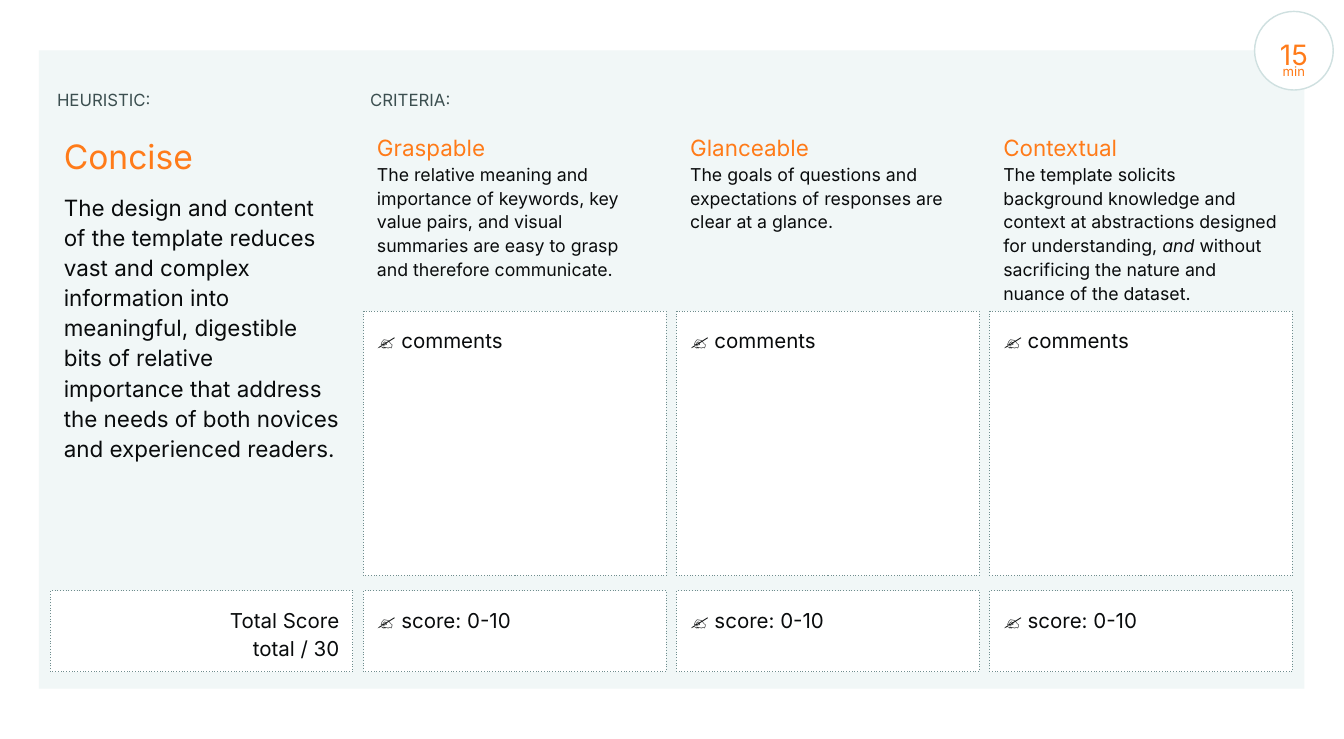
import pptx
import pptx.util
from pptx.dml.color import RGBColor
from pptx.enum.dml import MSO_LINE
from pptx.enum.shapes import MSO_SHAPE
from pptx.enum.text import MSO_ANCHOR, PP_ALIGN
from pptx.oxml.ns import qn

WHITE = RGBColor(0xFF, 0xFF, 0xFF)
PANEL = RGBColor(0xF1, 0xF7, 0xF7)
BORDER = RGBColor(0x6F, 0x8D, 0x8E)
RING = RGBColor(0xCF, 0xE0, 0xE0)
ORANGE = RGBColor(0xFF, 0x7B, 0x19)
INK = RGBColor(0x09, 0x0B, 0x0C)
LABEL = RGBColor(0x3C, 0x4F, 0x50)

# Grid: four columns, and rows by their tops and heights
COLS = [0.75 + 4.66 * i for i in range(4)]
COL_W = 4.5
LABEL_TOP, LABEL_H = 1.24, 0.5
TEXT_TOP = 1.75
COMMENT_TOP, COMMENT_H = 4.63, 3.94
SCORE_TOP, SCORE_H = 8.79, 1.21

prs = pptx.Presentation()
prs.slide_width = pptx.util.Inches(20)
prs.slide_height = pptx.util.Inches(11)
slide = prs.slides.add_slide(prs.slide_layouts[6])


def add_box(x, y, w, h, shape=None, fill=WHITE, line=None, width=0.75):
    """Add a preset shape, or a text box when no shape is given."""
    at = [pptx.util.Inches(v) for v in (x, y, w, h)]
    if shape is None:
        return slide.shapes.add_textbox(*at)
    s = slide.shapes.add_shape(shape, *at)
    s.shadow.inherit = False
    s.fill.solid()
    s.fill.fore_color.rgb = fill
    if line is None:
        s.line.fill.background()
    else:
        s.line.color.rgb = line
        s.line.width = pptx.util.Pt(width)
    return s


def write(s, lines, spacing, inset=0.2, align=PP_ALIGN.LEFT,
          anchor=MSO_ANCHOR.TOP):
    """Write (text, size, colour) lines; text between * marks is italic."""
    tf = s.text_frame
    tf.word_wrap = True
    tf.vertical_anchor = anchor
    tf.margin_left = tf.margin_right = pptx.util.Inches(inset)
    tf.margin_top = tf.margin_bottom = pptx.util.Inches(inset)
    for i, (text, size, color) in enumerate(lines):
        p = tf.add_paragraph() if i else tf.paragraphs[0]
        p.alignment = align
        p.line_spacing = spacing
        p.font.name = "Inter"
        p.font.size = pptx.util.Pt(size)
        p.font.color.rgb = color
        for j, part in enumerate(text.split("*")):
            r = p.add_run()
            r.text = part
            if j % 2:
                r.font.italic = True
    return tf


# Background panel
add_box(0.58, 0.75, 18.83, 9.5, MSO_SHAPE.RECTANGLE, PANEL)

# Section labels
for x, label in zip(COLS, ["HEURISTIC:", "CRITERIA:"]):
    s = add_box(x, LABEL_TOP, 3.28, LABEL_H)
    write(s, [(label, 18, LABEL)], 1.0, 0.1)

# Heuristic
s = add_box(COLS[0], TEXT_TOP, COL_W, 4.34)
tf = write(s, [
    ("Concise", 36, ORANGE),
    ("The design and content of the template reduces vast and complex "
     "information into meaningful, digestible bits of relative importance "
     "that address the needs of both novices and experienced readers.",
     24, INK),
], 1.12)
tf.paragraphs[1].space_before = pptx.util.Pt(16)

# Criteria
criteria = [
    ("Graspable", "The relative meaning and importance of keywords, key value "
     "pairs, and visual summaries are easy to grasp and therefore "
     "communicate."),
    ("Glanceable", "The goals of questions and expectations of responses are "
     "clear at a glance."),
    ("Contextual", "The template solicits background knowledge and context at "
     "abstractions designed for understanding, *and* without sacrificing the "
     "nature and nuance of the dataset."),
]
for x, (title, body) in zip(COLS[1:], criteria):
    s = add_box(x, TEXT_TOP, COL_W, COMMENT_TOP - TEXT_TOP)
    write(s, [(title, 24, ORANGE), (body, 19, INK)], 1.12)

# Dotted fields: the total, then comments and score under each criterion
fields = [(COLS[0], SCORE_TOP, SCORE_H, ["Total Score", "total / 30"],
           PP_ALIGN.RIGHT)]
for x in COLS[1:]:
    fields += [
        (x, COMMENT_TOP, COMMENT_H, ["✍️ comments"], PP_ALIGN.LEFT),
        (x, SCORE_TOP, SCORE_H, ["✍️ score: 0-10"], PP_ALIGN.LEFT),
    ]
for x, y, h, texts, align in fields:
    s = add_box(x, y, COL_W, h, MSO_SHAPE.RECTANGLE, line=BORDER)
    s.line.dash_style = MSO_LINE.ROUND_DOT
    s.element.spPr.find(".//" + qn("a:prstDash")).set("val", "dot")
    write(s, [(t, 22, INK) for t in texts], 1.15, align=align)

# Time badge
s = add_box(18.67, 0.17, 1.17, 1.17, MSO_SHAPE.OVAL, line=RING, width=1.5)
write(s, [("15", 30, ORANGE), ("min", 14, ORANGE)], 0.6, 0,
      PP_ALIGN.CENTER, MSO_ANCHOR.BOTTOM)

prs.save("out.pptx")
